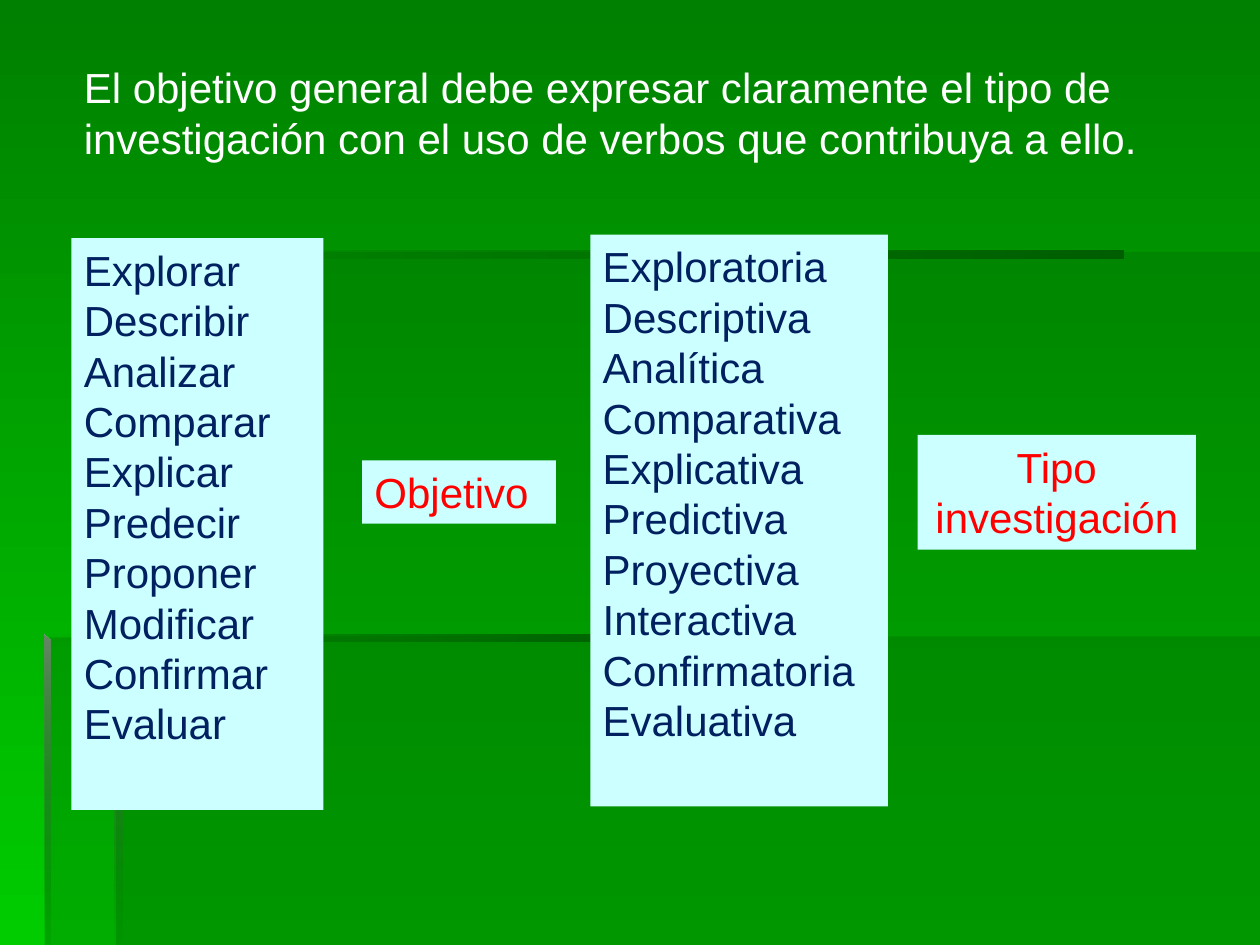
from dataclasses import dataclass

from pptx import Presentation
from pptx.dml.color import RGBColor
from pptx.dml.fill import FillFormat
from pptx.enum.shapes import MSO_SHAPE as Shape
from pptx.enum.text import MSO_ANCHOR as Anchor, PP_ALIGN as Align
from pptx.oxml.ns import qn
from pptx.slide import Slide
from pptx.util import Cm, Pt

WIDTH, HEIGHT = 25.4, 19.05
COLORS = {
    "top": "008000", "bottom": "00CC00", "shade": "006600", "edge": "005E00",
    "post": "668666", "panel": "CCFFFF", "navy": "002060", "red": "FF0000",
    "white": "FFFFFF",
}


@dataclass
class Stop:
    color: str
    opacity: int = 100


@dataclass
class Outline:
    points: list[tuple[float, float]]
    stops: list[Stop]
    angle: int = 0


@dataclass
class TextBlock:
    left: float
    top: float
    width: float
    height: float
    color: str
    lines: list[str]
    panel: bool = True
    wrap: bool = False
    align: Align = Align.LEFT


def rgb(name: str) -> RGBColor:
    return RGBColor.from_string(COLORS[name])


def box(left: float, top: float, right: float, bottom: float) -> list[tuple[float, float]]:
    return [(left, top), (right, top), (right, bottom), (left, bottom)]


def paint(fill: FillFormat, stops: list[Stop], angle: int = 0) -> None:
    if len(stops) == 1:
        fill.solid()
        fill.fore_color.rgb = rgb(stops[0].color)
        return
    fill.gradient()
    fill.gradient_angle = angle
    for gradient_stop, stop, position in zip(fill.gradient_stops, stops, (0, 1)):
        gradient_stop.color.rgb = rgb(stop.color)
        gradient_stop.position = position


def draw_outline(s: Slide, outline: Outline) -> None:
    points = [(Cm(x), Cm(y)) for x, y in outline.points]
    builder = s.shapes.build_freeform(*points[0])
    builder.add_line_segments(points[1:], close=True)
    sp = builder.convert_to_shape()
    sp.shadow.inherit = False
    sp.line.fill.background()
    paint(sp.fill, outline.stops, outline.angle)
    colors = sp._element.spPr.iter(qn("a:srgbClr"))
    for color, stop in zip(colors, outline.stops):
        if stop.opacity < 100:
            alpha = color.makeelement(qn("a:alpha"), {"val": str(stop.opacity * 1000)})
            color.append(alpha)


def draw_text(s: Slide, block: TextBlock) -> None:
    place = [Cm(v) for v in (block.left, block.top, block.width, block.height)]
    if block.panel:
        sp = s.shapes.add_shape(Shape.RECTANGLE, *place)
        sp.shadow.inherit = False
        sp.line.fill.background()
        paint(sp.fill, [Stop("panel")])
    else:
        sp = s.shapes.add_textbox(*place)
    tf = sp.text_frame
    tf.word_wrap = block.wrap
    tf.vertical_anchor = Anchor.TOP
    for i, line in enumerate(block.lines):
        p = tf.add_paragraph() if i else tf.paragraphs[0]
        p.alignment = block.align
        r = p.add_run()
        r.text = line
        r.font.name = "Arial"
        r.font.size = Pt(24)
        r.font.color.rgb = rgb(block.color)


VEIL = [Stop("shade", 30)]
FADE_IN = [Stop("shade", 0), Stop("edge")]
OUTLINES = [
    Outline(box(2.34, 12.83, WIDTH, HEIGHT), VEIL),
    Outline([(2.39, 12.85), (0.91, 12.85), (0.91, HEIGHT), (WIDTH, HEIGHT),
             (WIDTH, 5.08), (2.39, 5.08)], VEIL),
    Outline(box(2.34, 5.06, 22.64, 5.21), FADE_IN),
    Outline([(2.31, HEIGHT), (2.46, HEIGHT), (2.44, 12.9), (2.31, 12.8)],
            [Stop("post"), Stop("shade", 0)], 270),
    Outline(box(0.89, 12.8, 13.59, 12.93), FADE_IN),
    Outline([(0.89, 12.8), (0.89, HEIGHT), (1.02, HEIGHT), (1.02, 12.93)],
            [Stop("post"), Stop("shade", 10)], 270),
]

BLOCKS = [
    TextBlock(1.44, 1.12, 21.97, 2.31, "white", [
        "El objetivo general debe expresar claramente el tipo de",
        "investigación con el uso de verbos que contribuya a ello.",
    ], panel=False),
    TextBlock(1.44, 4.8, 5.08, 11.53, "navy", [
        "Explorar", "Describir", "Analizar", "Comparar", "Explicar",
        "Predecir", "Proponer", "Modificar", "Confirmar", "Evaluar",
    ], wrap=True),
    TextBlock(11.9, 4.73, 6, 11.53, "navy", [
        "Exploratoria", "Descriptiva", "Analítica", "Comparativa", "Explicativa",
        "Predictiva", "Proyectiva", "Interactiva", "Confirmatoria", "Evaluativa",
    ], wrap=True),
    TextBlock(7.3, 9.28, 3.91, 1.28, "red", ["Objetivo "]),
    TextBlock(18.5, 8.77, 5.61, 2.31, "red", ["Tipo", "investigación"], align=Align.CENTER),
]

prs = Presentation()
prs.slide_width, prs.slide_height = Cm(WIDTH), Cm(HEIGHT)
s = prs.slides.add_slide(prs.slide_layouts[6])
paint(s.background.fill, [Stop("top"), Stop("bottom")], 270)
for outline in OUTLINES:
    draw_outline(s, outline)
for block in BLOCKS:
    draw_text(s, block)
prs.save("out.pptx")
